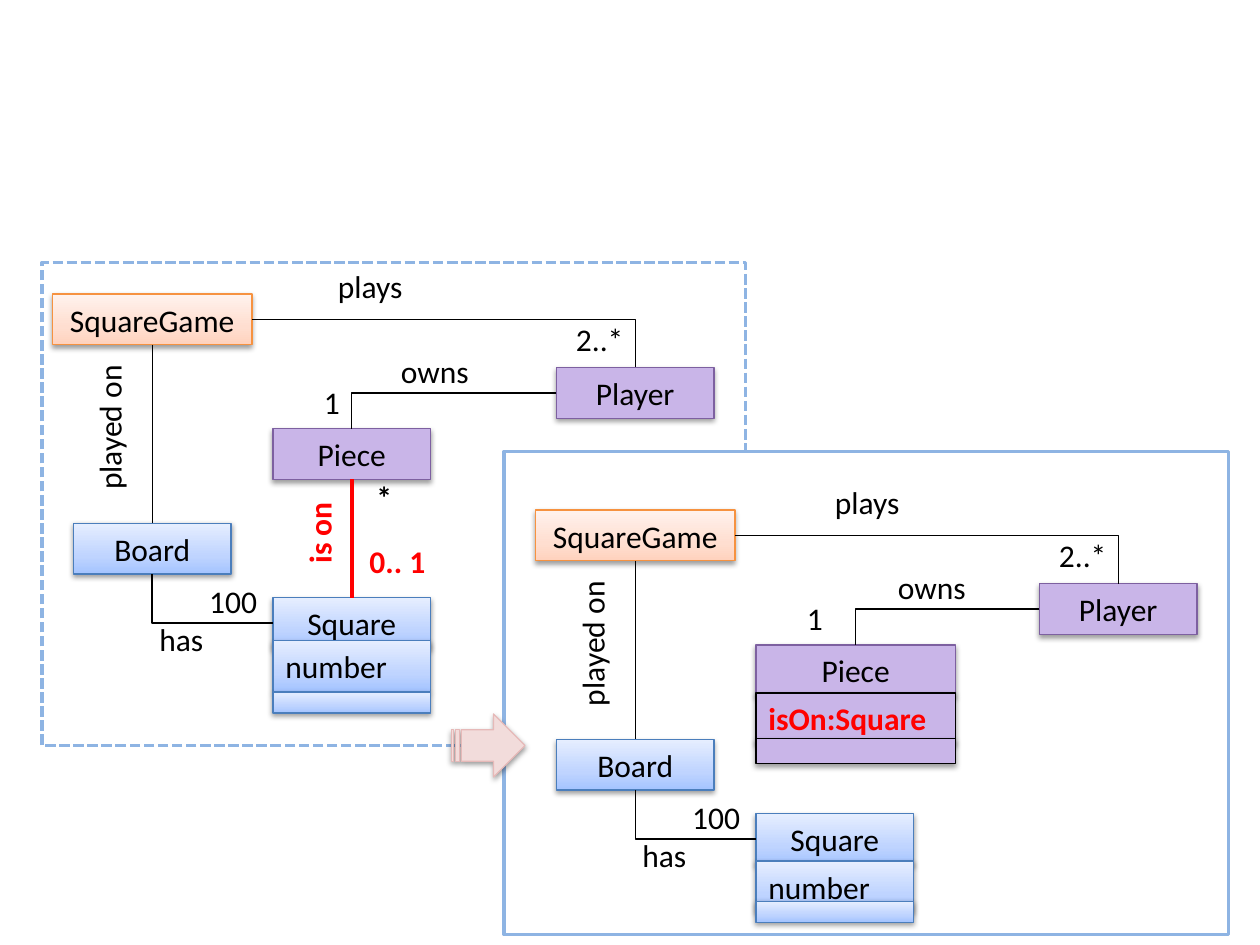
from copy import deepcopy

from lxml.etree import SubElement
from pptx import Presentation
from pptx.dml.color import RGBColor
from pptx.enum.dml import MSO_LINE
from pptx.enum.shapes import MSO_CONNECTOR, MSO_SHAPE
from pptx.enum.text import MSO_ANCHOR, PP_ALIGN
from pptx.oxml.ns import qn
from pptx.util import Pt

ORANGE = (["FFD2BD", "FFDED0", "FFF2ED"], "F69240")
BLUE = (["A4C4FF", "BFD4FF", "E6EEFF"], "4B7EBC")
PURPLE = ("C9B5E8", "7D60A0")
PURPLE_BLACK = ("C9B5E8", "000000")
PINK = ("F2DCDB", "E6B9B8")
RED, BLACK = "FF0000", "000000"
TOP, LEFT, BOTTOM, RIGHT = range(4)  # connection sites of a rectangle
ROW = 29  # height of a one-line box


def colour(value):
    return RGBColor.from_string(value)


def write(shape, *lines, color=BLACK, bold=False, align=PP_ALIGN.LEFT, indents=(0,)):
    frame = shape.text_frame
    frame.word_wrap = True
    for index, line in enumerate(lines):
        para = frame.add_paragraph() if index else frame.paragraphs[0]
        para.alignment = align
        if index < len(indents) and indents[index]:
            para._p.get_or_add_pPr().set("marL", str(Pt(indents[index])))
        span = para.add_run()
        span.text = line
        span.font.name, span.font.size = "Calibri", Pt(18)
        span.font.bold = bold
        span.font.color.rgb = colour(color)


def paint_gradient(shape, colors):
    shape.fill.gradient()
    shape.fill.gradient_angle = 90
    stop_list = shape._element.spPr.find(qn("a:gradFill")).find(qn("a:gsLst"))
    stop_list.insert(1, deepcopy(stop_list[0]))
    for stop, position, value in zip(shape.fill.gradient_stops, (0, 0.35, 1), colors):
        stop.position = position
        stop.color.rgb = colour(value)


def add_shadow(shape):
    effects = shape._element.spPr.find(qn("a:effectLst"))
    shadow = SubElement(effects, qn("a:outerShdw"), blurRad=str(Pt(3.1)),
                        dist=str(Pt(1.6)), dir="5400000", rotWithShape="0")
    SubElement(SubElement(shadow, qn("a:srgbClr"), val=BLACK), qn("a:alpha"), val="38000")


def add_box(page, x, y, width, height, style, shadow=True, line_width=0.75,
            kind=MSO_SHAPE.RECTANGLE):
    fill, line = style
    box = page.shapes.add_shape(kind, Pt(x), Pt(y), Pt(width), Pt(height))
    box.shadow.inherit = False
    if isinstance(fill, list):
        paint_gradient(box, fill)
    else:
        box.fill.solid()
        box.fill.fore_color.rgb = colour(fill)
    box.line.color.rgb = colour(line)
    box.line.width = Pt(line_width)
    if shadow:
        add_shadow(box)
    return box


def add_link(page, start, start_site, end, end_site, bent=True, color=BLACK, width=0.75):
    kind = MSO_CONNECTOR.ELBOW if bent else MSO_CONNECTOR.STRAIGHT
    link = page.shapes.add_connector(kind, 0, 0, 0, 0)
    link.begin_connect(start, start_site)
    link.end_connect(end, end_site)
    if bent:  # a single corner
        link._element.spPr.find(qn("a:prstGeom")).set("prst", "bentConnector2")
    link.line.color.rgb = colour(color)
    link.line.width = Pt(width)
    SubElement(link._element.spPr, qn("a:effectLst"))


def add_frame(page, x, y, width, height, dashed=False):
    frame = add_box(page, x, y, width, height, ("FFFFFF", "8EB4E3"), False, 2)
    if dashed:
        frame.line.dash_style = MSO_LINE.SQUARE_DOT


def add_diagram(page, left, top, piece_width, number_y, footer_y, label_indent):
    """Draw the classes both models share; left and top locate SquareGame."""

    def part(x, y, width, style, *lines, height=ROW, align=PP_ALIGN.CENTER, **form):
        box = add_box(page, left + x, top + y, width, height, style)
        box.text_frame.vertical_anchor = MSO_ANCHOR.MIDDLE
        write(box, *lines, align=align, **form)
        return box

    def label(x, y, width, *lines, height=ROW, turn=0, **form):
        box = page.shapes.add_textbox(Pt(left + x), Pt(top + y), Pt(width), Pt(height))
        box.rotation = turn
        write(box, *lines, **form)

    # Classes
    game = part(0, 0, 114, ORANGE, "SquareGame")
    player = part(288, 42, 90, PURPLE, "Player")
    piece = part(126, 77, piece_width, PURPLE, "Piece")
    board = part(12, 131, 90, BLUE, "Board")
    square = part(126, 173.5, 90, BLUE, "Square")

    # Associations
    add_link(page, game, RIGHT, player, TOP)
    add_link(page, player, LEFT, piece, TOP)
    add_link(page, game, BOTTOM, board, TOP, bent=False)
    add_link(page, square, LEFT, board, BOTTOM)

    # Attributes of Square
    part(126, number_y, 90, BLUE, "number", align=PP_ALIGN.LEFT)
    part(126, footer_y, 90, BLUE, height=12)

    # Names and multiplicities
    label(156, -19, 84, "plays", indents=(label_indent,))
    label(192, 29.5, 84, "owns", indents=(label_indent,))
    label(-21.5, 62.5, 108, "played on", turn=270, indents=(12,))
    label(54, 161, 72, "100", "has", height=51, indents=(28.5,))
    label(288, 11.5, 48, "2..*", indents=(4,))
    label(144, 47.5, 30, "1", height=30, indents=(4,))
    return part, label, piece, square


def add_association_model(page, left, top):
    part, label, piece, square = add_diagram(page, left, top, 90, 198, 227.5, 0)
    add_link(page, piece, BOTTOM, square, TOP, bent=False, color=RED, width=2.25)
    label(114, 120, 77, "is on", turn=270, color=RED, bold=True, indents=(12,))
    label(174, 101.5, 30, "*", height=30, bold=True, indents=(4,))
    label(174, 138, 48, "0.. 1", color=RED, bold=True)


def add_attribute_model(page, left, top):
    part, label, piece, square = add_diagram(page, left, top, 114, 200.5, 223.5, 8)
    part(126, 104.5, 114, PURPLE_BLACK, "isOn:Square",
         align=PP_ALIGN.LEFT, color=RED, bold=True)
    part(126, 130.5, 114, PURPLE_BLACK, height=14.5)


def main():
    deck = Presentation()
    deck.slide_width, deck.slide_height = Pt(720), Pt(540)
    page = deck.slides.add_slide(deck.slide_layouts[6])

    # Frames of the two models
    add_frame(page, 24, 150, 402, 276, dashed=True)
    add_frame(page, 288, 258, 414, 276)

    add_association_model(page, 30, 168)
    add_attribute_model(page, 306, 291.5)

    # Step from the first model to the second
    add_box(page, 258, 408, 42, 36, PINK, kind=MSO_SHAPE.STRIPED_RIGHT_ARROW)
    deck.save("out.pptx")


if __name__ == "__main__":
    main()
